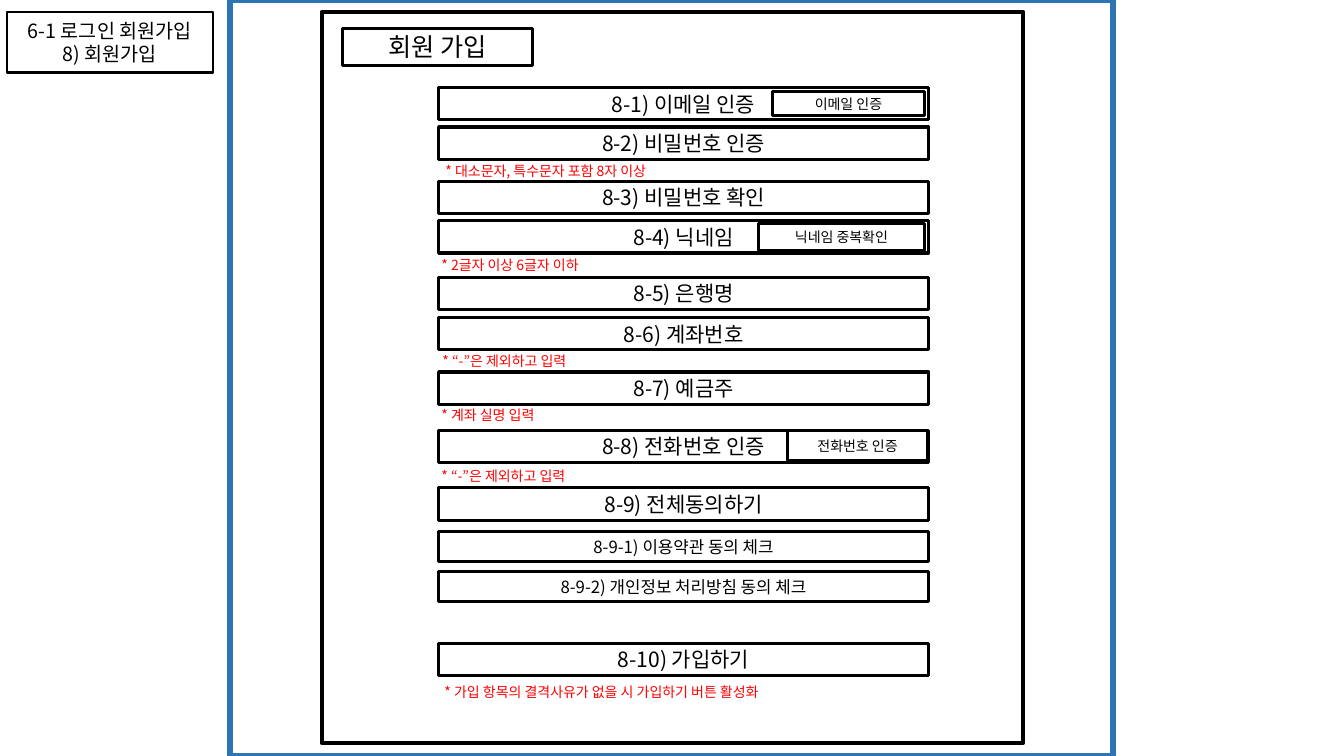
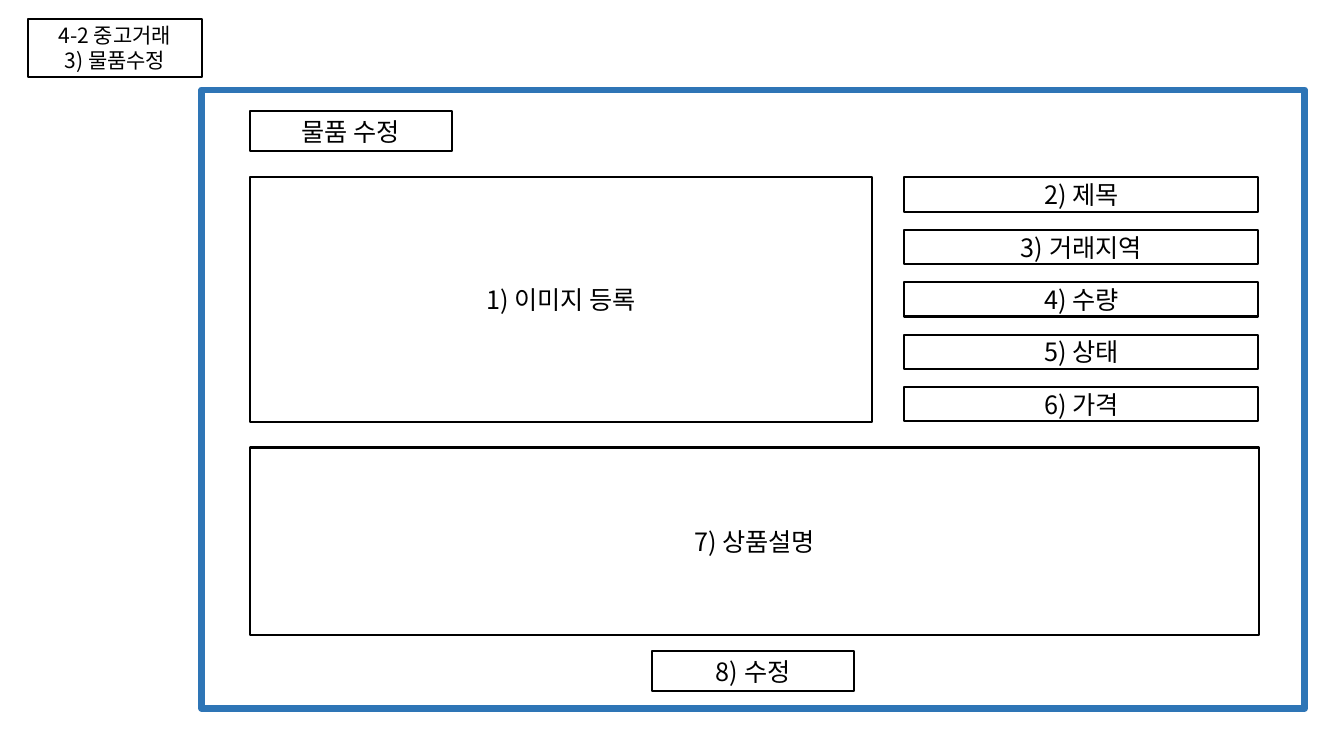
from dataclasses import dataclass
from typing import Any, Optional

import pptx
import pptx.dml.color
import pptx.enum.shapes
import pptx.enum.text
import pptx.oxml.ns
import pptx.oxml.xmlchemy
import pptx.slide
import pptx.util
from lxml import etree

Inches = pptx.util.Inches
Pt = pptx.util.Pt
Color = pptx.dml.color.RGBColor
Align = pptx.enum.text.PP_ALIGN
Anchor = pptx.enum.text.MSO_ANCHOR
AutoSize = pptx.enum.text.MSO_AUTO_SIZE


# Theme: colours, type sizes and line widths
@dataclass(frozen=True)
class Theme:
    font: str = "Noto Sans CJK KR"
    ink: Color = Color(0x00, 0x00, 0x00)
    paper: Color = Color(0xFF, 0xFF, 0xFF)
    frame: Color = Color(0x2E, 0x75, 0xB6)
    hint: Color = Color(0xFF, 0x00, 0x00)
    heading_size: float = 18
    field_size: float = 15
    consent_size: float = 12
    small_size: float = 10
    thin: float = 1.5
    medium: float = 2.25
    thick: float = 3
    frame_line: float = 4.5


THEME = Theme()
MARGINS = {
    "margin_left": Inches(0.1),
    "margin_right": Inches(0.1),
    "margin_top": Inches(0.05),
    "margin_bottom": Inches(0.05),
    "word_wrap": True,
}
BOX_TEXT = {**MARGINS, "auto_size": AutoSize.NONE, "vertical_anchor": Anchor.MIDDLE}
HINT_TEXT = {
    **MARGINS,
    "auto_size": AutoSize.SHAPE_TO_FIT_TEXT,
    "vertical_anchor": Anchor.TOP,
}


# Repeated elements
@dataclass(frozen=True)
class Box:
    left: float
    top: float
    width: float
    height: float
    text: str = ""
    size: float = THEME.heading_size
    line_width: float = THEME.thin
    line_color: Color = THEME.ink


@dataclass(frozen=True)
class Hint:
    text: str
    left: float
    top: float
    width: float


@dataclass(frozen=True)
class Button:
    text: str
    left: float
    top: float
    width: float
    height: float


@dataclass(frozen=True)
class FormField:
    text: str
    top: float
    hint: Optional[Hint] = None
    button: Optional[Button] = None
    size: float = THEME.field_size
    height: float = 0.32


# Drawing functions
def apply_format(target: Any, values: dict[str, Any]) -> None:
    for name, value in values.items():
        setattr(target, name, value)


def write_text(shape: Any, text: str, size: float, color: Color,
               alignment: Align, frame_format: dict[str, Any]) -> None:
    text_frame = shape.text_frame
    text_frame.text = text
    apply_format(text_frame, frame_format)
    for paragraph in text_frame.paragraphs:
        paragraph.alignment = alignment
        for run in paragraph.runs:
            apply_format(run.font, {"name": THEME.font, "size": Pt(size)})
            run.font.color.rgb = color
            # Hangul takes its typeface from the East Asian font
            east_asian = etree.SubElement(
                run._r.get_or_add_rPr(), pptx.oxml.ns.qn("a:ea"))
            east_asian.set("typeface", THEME.font)


def style_box(shape: Any, box: Box) -> None:
    apply_format(shape, {
        name: Inches(getattr(box, name))
        for name in ("left", "top", "width", "height")
    })
    shape.fill.solid()
    shape.fill.fore_color.rgb = THEME.paper
    shape.line.color.rgb = box.line_color
    shape.line.width = Pt(box.line_width)
    if box.text:
        write_text(shape, box.text, box.size, THEME.ink, Align.CENTER, BOX_TEXT)


def draw_box(slide: pptx.slide.Slide, box: Box) -> None:
    shape = slide.shapes.add_shape(
        pptx.enum.shapes.MSO_SHAPE.RECTANGLE, 0, 0, 0, 0)
    shape.shadow.inherit = False
    style_box(shape, box)


def draw_title(slide: pptx.slide.Slide, box: Box) -> None:
    title = slide.shapes.title
    style_box(title, box)
    # Bring the title in front of the frames
    title.element.getparent().append(title.element)


def draw_hint(slide: pptx.slide.Slide, hint: Hint) -> None:
    shape = slide.shapes.add_textbox(
        Inches(hint.left), Inches(hint.top), Inches(hint.width), Inches(0.27))
    write_text(shape, hint.text, THEME.small_size, THEME.hint,
               Align.LEFT, HINT_TEXT)


def draw_field(slide: pptx.slide.Slide, field: FormField) -> None:
    draw_box(slide, Box(4.35, field.top, 4.86, field.height, field.text,
                        field.size, THEME.medium))
    button = field.button
    if button:
        draw_box(slide, Box(button.left, button.top, button.width, button.height,
                            button.text, THEME.small_size, THEME.medium))
    if field.hint:
        draw_hint(slide, field.hint)


def add_screen(presentation: Any, tab: Box, frames: list[Box],
               title: Box) -> pptx.slide.Slide:
    slide = presentation.slides.add_slide(presentation.slide_layouts[5])
    for box in (tab, *frames):
        draw_box(slide, box)
    draw_title(slide, title)
    return slide


def screen_frame(left: float, top: float, width: float, height: float) -> Box:
    return Box(left, top, width, height, line_width=THEME.frame_line,
               line_color=THEME.frame)


presentation = pptx.Presentation()
apply_format(presentation, {
    "slide_width": Inches(13.33), "slide_height": Inches(7.5)})

# Slide 1: sign-up form
DIGITS_ONLY = "* “-”은 제외하고 입력"
SIGN_UP_FIELDS = [
    FormField("8-1) 이메일 인증", 0.87,
              button=Button("이메일 인증", 7.66, 0.91, 1.51, 0.24)),
    FormField("8-2) 비밀번호 인증", 1.26,
              Hint("* 대소문자, 특수문자 포함 8자 이상", 4.32, 1.56, 2.47)),
    FormField("8-3) 비밀번호 확인", 1.8),
    FormField("8-4) 닉네임", 2.19,
              Hint("* 2글자 이상 6글자 이하", 4.28, 2.5, 1.72),
              Button("닉네임 중복확인", 7.52, 2.22, 1.65, 0.27)),
    FormField("8-5) 은행명", 2.75),
    FormField("8-6) 계좌번호", 3.15, Hint(DIGITS_ONLY, 4.29, 3.45, 1.56)),
    FormField("8-7) 예금주", 3.69,
              Hint("* 계좌 실명 입력", 4.28, 3.98, 1.29)),
    FormField("8-8) 전화번호 인증", 4.27, Hint(DIGITS_ONLY, 4.28, 4.59, 1.56),
              Button("전화번호 인증", 7.81, 4.27, 1.39, 0.3)),
    FormField("8-9) 전체동의하기", 4.84),
    FormField("8-9-1) 이용약관 동의 체크", 5.27,
              size=THEME.consent_size, height=0.3),
    FormField("8-9-2) 개인정보 처리방침 동의 체크", 5.67,
              size=THEME.consent_size, height=0.3),
    FormField("8-10) 가입하기", 6.38,
              Hint("* 가입 항목의 결격사유가 없을 시 가입하기 버튼 활성화",
                   4.31, 6.73, 4.92)),
]
sign_up = add_screen(
    presentation,
    tab=Box(0.07, 0.12, 2.04, 0.6, "6-1 로그인 회원가입\n8) 회원가입", 14),
    frames=[screen_frame(2.28, 0, 8.76, 7.5),
            Box(3.19, 0.12, 6.96, 7.25, line_width=THEME.thick)],
    title=Box(3.4, 0.28, 1.88, 0.37, "회원 가입", line_width=THEME.medium),
)
for field in SIGN_UP_FIELDS:
    draw_field(sign_up, field)

# Slide 2: item editing form
item_edit = add_screen(
    presentation,
    tab=Box(0.28, 0.19, 1.72, 0.57, "4-2 중고거래\n3) 물품수정",
            THEME.field_size),
    frames=[screen_frame(2, 0.89, 10.94, 6.14)],
    title=Box(2.48, 1.1, 2, 0.4, "물품 수정"),
)
DETAILS = ["2) 제목", "3) 거래지역", "4) 수량", "5) 상태", "6) 가격"]
ITEM_BOXES = [
    Box(2.48, 1.76, 6.17, 2.43, "1) 이미지 등록"),
    *(Box(8.97, 1.76 + 0.52 * row, 3.51, 0.34, text)
      for row, text in enumerate(DETAILS)),
    Box(2.48, 4.44, 10.01, 1.86, "7) 상품설명"),
    Box(6.47, 6.46, 2, 0.4, "8) 수정"),
]
for box in ITEM_BOXES:
    draw_box(item_edit, box)

presentation.save("out.pptx")
